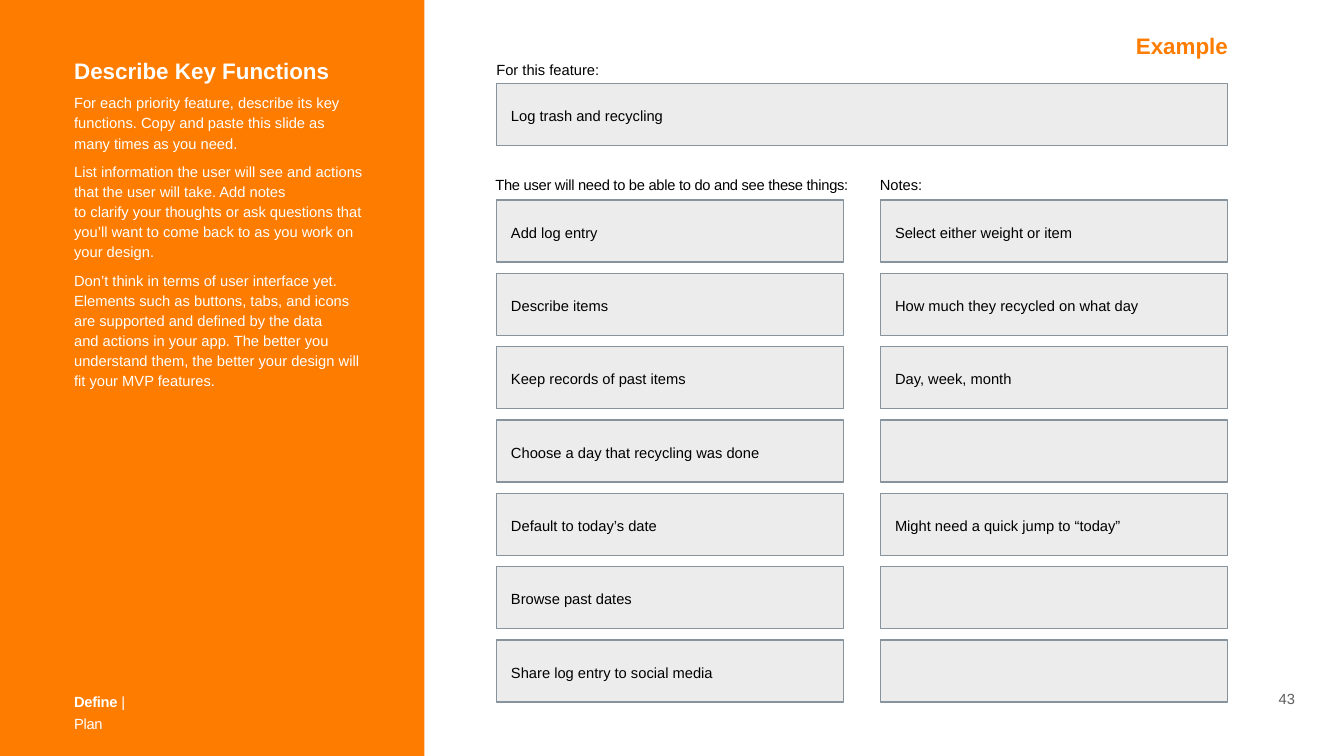
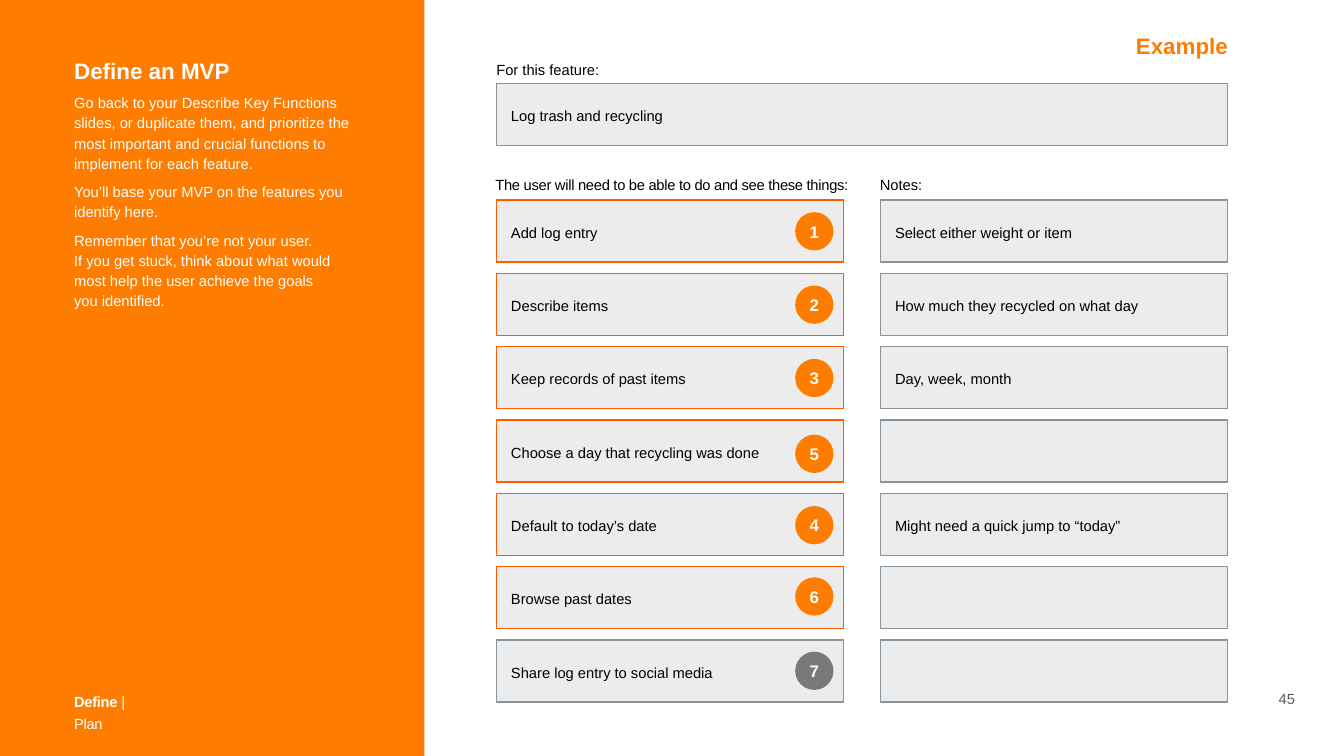
from lxml import etree
from pptx import Presentation
from pptx import util as u
from pptx.dml.color import RGBColor
from pptx.enum import shapes, text
from pptx.oxml import ns

ORANGE = RGBColor(0xFE, 0x7D, 0x00)
DEEP_ORANGE = RGBColor(0xFD, 0x5D, 0x00)
WHITE = RGBColor(0xFF, 0xFF, 0xFF)
BLACK = RGBColor(0x00, 0x00, 0x00)
BOX_GRAY = RGBColor(0xD5, 0xD5, 0xD5)
BORDER_GRAY = RGBColor(0x87, 0x93, 0x9D)
BADGE_GRAY = RGBColor(0x79, 0x79, 0x79)
PAGE_GRAY = RGBColor(0x5E, 0x5E, 0x5E)

LEFT_MARGIN = 1.39
FUNCTIONS_LEFT = 9.85
NOTES_LEFT = 17.47
COLUMN_WIDTH = 6.89
BOX_HEIGHT = 1.23
FIRST_ROW = 3.97
LAST_ROW = 12.7

FEATURE = "Log trash and recycling"
ROWS = [
    ("Add log entry", "Select either weight or item"),
    ("Describe items", "How much they recycled on what day"),
    ("Keep records of past items", "Day, week, month"),
    ("Choose a day that recycling was done", ""),
    ("Default to today’s date", "Might need a quick jump to “today”"),
    ("Browse past dates", ""),
    ("Share log entry to social media", ""),
]
BADGES = [("1", 0.24), ("2", 0.24), ("3", 0.24), ("5", 0.29),
          ("4", 0.25), ("6", 0.21), ("7", 0.23)]
LOWEST_PRIORITY = "7"

KEY_FUNCTIONS_GUIDE = [
    "For each priority feature, describe its key functions. Copy and paste "
    "this slide as many times as you need.",
    "List information the user will see and actions that the user will take. "
    "Add notes\nto clarify your thoughts or ask questions that you’ll want to "
    "come back to as you work on your design.",
    "Don’t think in terms of user interface yet. Elements such as buttons, "
    "tabs, and icons are supported and defined by the data\nand actions in "
    "your app. The better you understand them, the better your design will "
    "fit your MVP features.",
]
MVP_GUIDE = [
    "Go back to your Describe Key Functions slides, or duplicate them, and "
    "prioritize the most important and crucial functions to implement for "
    "each feature.",
    "You’ll base your MVP on the features you identify here.",
    "Remember that you’re not your user.\nIf you get stuck, think about what "
    "would most help the user achieve the goals\nyou identified.",
]


class Worksheet:
    font = "Arial"
    body_size = 21
    heading_size = 32

    def __init__(self):
        self.deck = Presentation()
        self.deck.slide_width = u.Inches(26.67)
        self.deck.slide_height = u.Inches(15)
        self.page = None

    def place(self, shape, left, top, width, height):
        shape.left, shape.top = u.Inches(left), u.Inches(top)
        shape.width, shape.height = u.Inches(width), u.Inches(height)

    def frame(self, shape, inset, anchor, wrap=True):
        frame = shape.text_frame
        frame.auto_size = text.MSO_AUTO_SIZE.NONE
        frame.word_wrap = wrap
        frame.vertical_anchor = anchor
        frame.margin_left = frame.margin_right = u.Inches(inset)
        frame.margin_top = frame.margin_bottom = u.Inches(inset)
        return frame

    def add_words(self, para, words, color, size=body_size, bold=False, tracking=0):
        for index, line in enumerate(words.split("\n")):
            if index:
                para.add_line_break()
            span = para.add_run()
            span.text = line
            span.font.name = self.font
            span.font.size = u.Pt(size)
            span.font.bold = bold
            span.font.color.rgb = color
            if tracking:
                span.font._element.set("spc", str(round(tracking * 100)))

    def shape(self, kind, left, top, width, height, fill, border=None):
        shape = self.page.shapes.add_shape(
            kind, u.Inches(left), u.Inches(top), u.Inches(width), u.Inches(height))
        shape.shadow.inherit = False
        shape.fill.solid()
        shape.fill.fore_color.rgb = fill
        if border is None:
            shape.line.fill.background()
        else:
            shape.line.color.rgb = border
            shape.line.width = u.Pt(2)
        return shape

    def textbox(self, left, top, width, height, inset, anchor, wrap=True):
        box = self.page.shapes.add_textbox(
            u.Inches(left), u.Inches(top), u.Inches(width), u.Inches(height))
        return self.frame(box, inset, anchor, wrap).paragraphs[0]

    def start(self, heading, guide, number):
        self.page = self.deck.slides.add_slide(self.deck.slide_layouts[1])
        title, body = self.page.placeholders
        panel = self.shape(shapes.MSO_SHAPE.RECTANGLE, -0.01, -0.01, 8.43, 15.02, ORANGE)
        title.element.addprevious(panel.element)

        self.place(title, LEFT_MARGIN, 1.06, 5.9, 0.67)
        para = self.frame(title, 0.08, text.MSO_ANCHOR.TOP).paragraphs[0]
        para.alignment = text.PP_ALIGN.LEFT
        self.add_words(para, heading, WHITE, self.heading_size, bold=True)
        self.guide(body, guide)
        self.footer(number)

    def guide(self, body, guide):
        self.place(body, LEFT_MARGIN, 1.74, 5.9, 6.92)
        frame = self.frame(body, 0.08, text.MSO_ANCHOR.TOP)
        for index, words in enumerate(guide):
            para = frame.add_paragraph() if index else frame.paragraphs[0]
            para.line_spacing = 1.14
            para.space_before = u.Pt(12 if index else 0)
            properties = para._p.get_or_add_pPr()
            properties.set("marL", "0")
            properties.set("indent", "0")
            etree.SubElement(properties, ns.qn("a:buNone"))
            self.add_words(para, words, WHITE)

    def footer(self, number):
        para = self.textbox(LEFT_MARGIN, 13.58, 1.7, 0.51, 0.08, text.MSO_ANCHOR.TOP)
        para.line_spacing = 1.24
        self.add_words(para, "Define", WHITE, bold=True, tracking=-0.4)
        self.add_words(para, " | Plan", WHITE, tracking=-0.4)
        para = self.textbox(25.29, 13.61, 0.49, 0.5, 0.08, text.MSO_ANCHOR.BOTTOM, wrap=False)
        para.alignment = text.PP_ALIGN.CENTER
        self.add_words(para, number, PAGE_GRAY)

    def label(self, words, left, top, width, tracking=0):
        para = self.textbox(left, top, width, 0.5, 0.06, text.MSO_ANCHOR.MIDDLE)
        para.line_spacing = 1.14
        self.add_words(para, words, BLACK, tracking=tracking)

    def field(self, words, left, top, width=COLUMN_WIDTH, border=BORDER_GRAY):
        box = self.shape(shapes.MSO_SHAPE.RECTANGLE, left, top, width, BOX_HEIGHT,
                         BOX_GRAY, border)
        color = box.element.spPr.find(ns.qn("a:solidFill"))[0]
        etree.SubElement(color, ns.qn("a:alpha")).set("val", "44000")
        if words:
            para = self.frame(box, 0.29, text.MSO_ANCHOR.MIDDLE).paragraphs[0]
            para.alignment = text.PP_ALIGN.LEFT
            para.line_spacing = 1.14
            self.add_words(para, words, BLACK)

    def badge(self, number, top, fill):
        circle = self.shape(shapes.MSO_SHAPE.OVAL, 15.78, top, 0.76, 0.76, fill)
        para = self.frame(circle, 0.06, text.MSO_ANCHOR.MIDDLE).paragraphs[0]
        para.alignment = text.PP_ALIGN.CENTER
        self.add_words(para, number, WHITE, 24, bold=True)

    def example(self, badges=()):
        para = self.textbox(22.46, 0.56, 2, 0.69, 0.08, text.MSO_ANCHOR.MIDDLE, wrap=False)
        self.add_words(para, "Example", ORANGE, self.heading_size, bold=True)
        self.label("For this feature:", 9.79, 1.11, 5.9)
        self.field(FEATURE, FUNCTIONS_LEFT, 1.66, NOTES_LEFT + COLUMN_WIDTH - FUNCTIONS_LEFT)
        self.label("The user will need to be able to do and see these things:",
                   9.77, 3.38, 7.69, tracking=-0.4)
        self.label("Notes:", 17.4, 3.39, 7.07)

        pitch = (LAST_ROW - FIRST_ROW) / (len(ROWS) - 1)
        for index, (function, note) in enumerate(ROWS):
            top = FIRST_ROW + index * pitch
            chosen = bool(badges) and badges[index][0] != LOWEST_PRIORITY
            self.field(function, FUNCTIONS_LEFT, top,
                       border=DEEP_ORANGE if chosen else BORDER_GRAY)
            self.field(note, NOTES_LEFT, top)
            if badges:
                number, offset = badges[index]
                self.badge(number, top + offset, ORANGE if chosen else BADGE_GRAY)


def main():
    sheet = Worksheet()
    sheet.start("Describe Key Functions", KEY_FUNCTIONS_GUIDE, "43")
    sheet.example()
    sheet.start("Define an MVP", MVP_GUIDE, "45")
    sheet.example(BADGES)
    sheet.deck.save("out.pptx")


if __name__ == "__main__":
    main()
